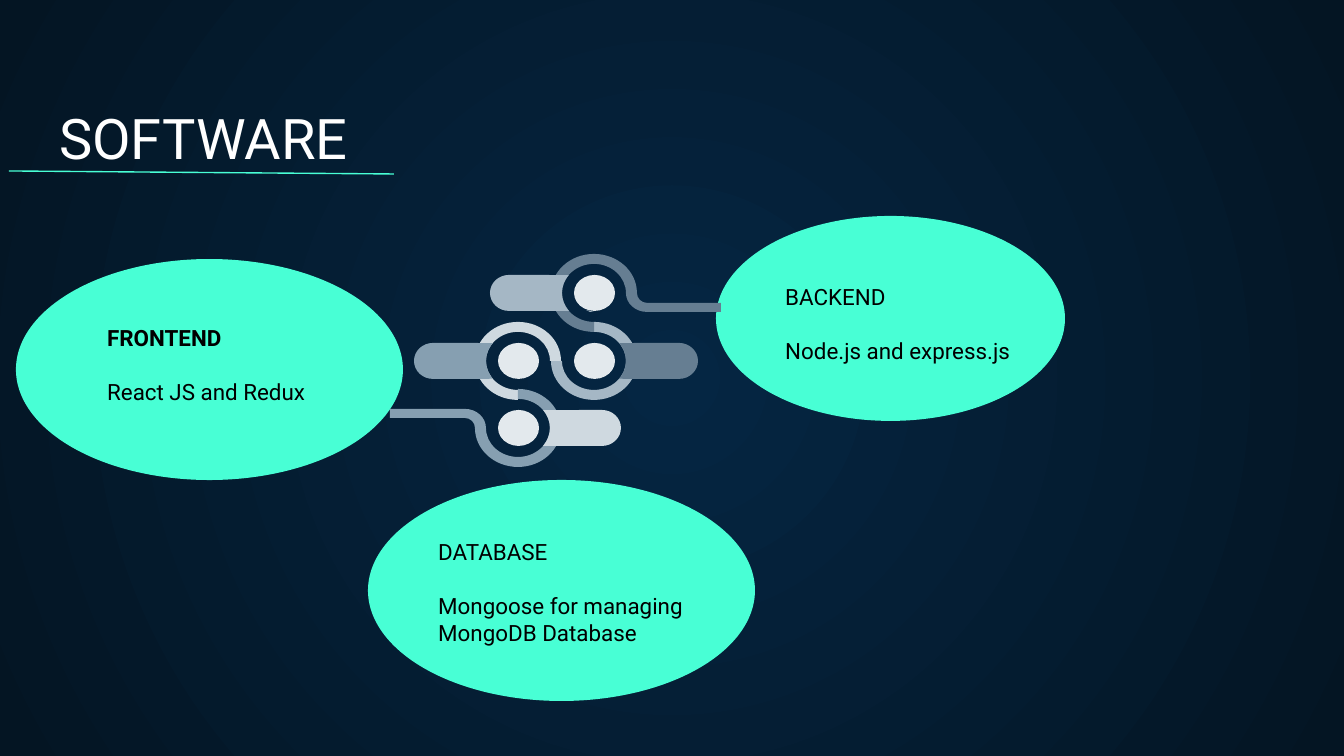
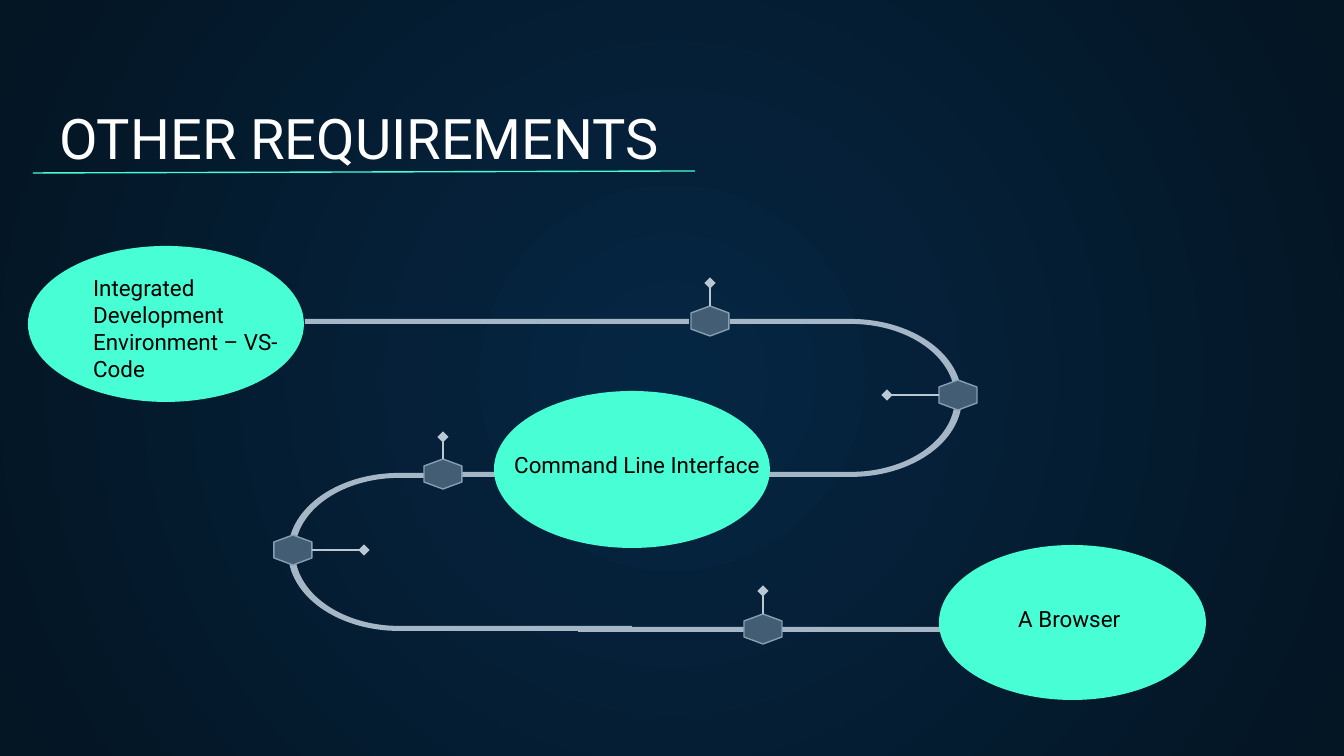
import math
from pptx import Presentation, util as u
from pptx.dml.color import RGBColor
from pptx.enum import shapes, text
from pptx.oxml import parse_xml
from pptx.oxml.ns import nsdecls, qn

SCALE = 914400 / 134.4  # EMU per px
FONT = "Roboto"
COLOURS = {name: RGBColor.from_string(value) for name, value in {
    "centre": "052643", "edge": "041523", "mint": "48FFD5",
    "white": "FFFFFF", "black": "000000", "dot": "E3E9ED",
    "pale": "CFD9E0", "light": "A5B7C5", "medium": "869FB1",
    "slate": "667E92", "road": "A5B7C6", "stem": "BAC8D3",
    "hexagon": "435D74", "hexagon line": "869FB2"}.items()}


def arc(centre, radii, *stops):
    """A corner, then one curve (two handles and an end) from each stop to the next.

    Degrees run clockwise from the right.
    """
    (x, y), (rx, ry) = centre, radii
    angles = [math.radians(stop) for stop in stops]
    items = [(x + rx * math.cos(angles[0]), y + ry * math.sin(angles[0]))]
    for a, b in zip(angles, angles[1:]):
        k = 4 / 3 * math.tan((b - a) / 4)
        items.append((
            x + rx * (math.cos(a) - k * math.sin(a)), y + ry * (math.sin(a) + k * math.cos(a)),
            x + rx * (math.cos(b) + k * math.sin(b)), y + ry * (math.sin(b) - k * math.cos(b)),
            x + rx * math.cos(b), y + ry * math.sin(b)))
    return items


def add_outline(slide, items, colour):
    """Draw corners (2 numbers) and curves (6 numbers) as one filled outline."""
    points = [(item[i] * SCALE, item[i + 1] * SCALE)
              for item in items for i in range(0, len(item), 2)]
    builder = slide.shapes.build_freeform(*points[0])
    builder.add_line_segments(points[1:], close=True)
    shape = builder.convert_to_shape()
    outline = shape._element.find(".//" + qn("a:path"))
    nodes = iter(list(outline))
    for item in items:
        node = next(nodes)
        if len(item) == 6:
            node.tag = qn("a:cubicBezTo")
            for follower in (next(nodes), next(nodes)):
                node.append(follower[0])
                outline.remove(follower)
    shape.shadow.inherit = False
    shape.fill.solid()
    shape.fill.fore_color.rgb = COLOURS[colour]
    shape.line.fill.background()
    return shape


presentation = Presentation()
presentation.slide_width = int(1344 * SCALE)
presentation.slide_height = int(756 * SCALE)
software = presentation.slides.add_slide(presentation.slide_layouts[6])
requirements = presentation.slides.add_slide(presentation.slide_layouts[6])

# Radial background
for slide in (software, requirements):
    fill = slide.background.fill
    fill.gradient()
    for stop, name in zip(fill.gradient_stops, ("centre", "edge")):
        stop.color.rgb = COLOURS[name]
    gradient = slide.background._cSld.find(".//" + qn("a:gradFill"))
    gradient.replace(gradient.find(qn("a:lin")), parse_xml(
        f'<a:path {nsdecls("a")} path="circle">'
        '<a:fillToRect l="50000" t="50000" r="50000" b="50000"/></a:path>'))

# Road: each bend runs from a straight start into a quarter turn
for start, centre, angle_from, angle_to in [
        (730, (851, 398), 270, 349), (462, (851, 398), 90, 8),
        (425, (399, 552), 270, 191), (632, (399, 552), 90, 171)]:
    outer = arc(centre, (111, 79), angle_from, angle_to)
    inner = arc(centre, (104, 74), angle_to, angle_from)
    add_outline(requirements,
                [(start, outer[0][1])] + outer + inner + [(start, inner[-1][-1])], "road")

# Small sliver behind the top dot
TOP, LEFT, RIGHT, BOTTOM = (594, 293), (518, 361), (594, 361), (518, 428)
add_outline(software, [(586, 310), (594, 312), (590, 312)], "light")

# Preset shapes: straight road parts, bubbles, circuit dots
rectangle, oval = shapes.MSO_SHAPE.RECTANGLE, shapes.MSO_SHAPE.OVAL
presets = [(requirements, rectangle, (left, top, width, 5), "road")
           for left, top, width in [(305, 319, 384), (578, 627, 166), (782, 627, 167)]]
bubbles = [
    (software, (16, 259, 387, 221), (94, 318, 527, 95), ["FRONTEND", "React JS and Redux"]),
    (software, (716, 216, 349, 205), (772, 277, 527, 95), ["BACKEND", "Node.js and express.js"]),
    (software, (368, 480, 387, 221), (425, 532, 323, 122),
     ["DATABASE", "Mongoose for managing MongoDB Database"]),
    (requirements, (28, 246, 276, 156), (80, 268, 249, 122),
     ["Integrated Development Environment – VS-Code"]),
    (requirements, (939, 545, 267, 155), (1005, 599, 348, 40), ["A Browser"]),
    (requirements, (494, 391, 276, 157), (501, 445, 337, 40), ["Command Line Interface"])]
presets += [(slide, oval, box, "mint") for slide, box, _, _ in bubbles]
presets += [(software, oval, (x - 20, y - 18, 41, 36), "dot")
            for x, y in (TOP, LEFT, RIGHT, BOTTOM)]
for slide, kind, box, colour in presets:
    shape = slide.shapes.add_shape(kind, *[int(n * SCALE) for n in box])
    shape.shadow.inherit = False
    shape.fill.solid()
    shape.fill.fore_color.rgb = COLOURS[colour]
    shape.line.fill.background()

# Circuit rings
OUTER, INNER = (43, 39), (32, 29)
for centre, stops, colour in [(RIGHT, (270, 360, 450, 540), "light"),
                              (LEFT, (90, 180, 270, 360), "pale"),
                              (TOP, (90, 180, 270), "slate")]:
    add_outline(software, arc(centre, OUTER, *stops) + arc(centre, INNER, *stops[::-1]), colour)

# Circuit rings that run out into a tail
for centre, stops, bend_x, turn, tail_x, colour in [
        (TOP, (270, 360), 647, 180, 721, "slate"),
        (BOTTOM, (270, 360, 450, 540), 465, 360, 390, "medium")]:
    bend = (bend_x, centre[1])
    near = arc(bend, (10, 10), turn, turn - 90)
    far = arc(bend, (21, 19), turn - 90, turn)
    add_outline(software, arc(centre, OUTER, *stops) + near
                + [(tail_x, near[-1][-1]), (tail_x, far[0][1])]
                + far + arc(centre, INNER, *stops[::-1]), colour)

# Circuit bars: a round cap outside, a hollow end along the ring
for ring, cap_x, colour in [(TOP, 509, "light"), (LEFT, 433, "medium"),
                            (RIGHT, 679, "slate"), (BOTTOM, 602, "pale")]:
    turn = 0 if cap_x < ring[0] else 180
    add_outline(software, arc((cap_x, ring[1]), (19, 18), 90 + turn, 180 + turn, 270 + turn)
                + arc(ring, INNER, 218 + turn, 142 + turn), colour)

# Hexagon stops; the stem runs from the hexagon's edge to its tip
lines = [(software, (9, 171), (394, 174), "mint", False),
         (requirements, (33, 173), (695, 171), "mint", False)]
for x, y, reach_x, reach_y in [(710, 321, 0, -38), (958, 395, -71, 0), (293, 550, 71, 0),
                               (443, 474, 0, -37), (763, 629, 0, -38)]:
    hexagon = add_outline(requirements, [
        (x + 19, y - 8), (x, y - 15), (x - 19, y - 8),
        (x - 19, y + 8), (x, y + 15), (x + 19, y + 8)], "hexagon")
    hexagon.line.color.rgb = COLOURS["hexagon line"]
    hexagon.line.width = u.Pt(0.75)
    edge = (x + max(-19, min(19, reach_x)), y + max(-15, min(15, reach_y)))
    lines.append((requirements, edge, (x + reach_x, y + reach_y), "stem", True))

# Title rules and stems
for slide, begin, end, colour, diamond in lines:
    line = slide.shapes.add_connector(
        shapes.MSO_CONNECTOR.STRAIGHT, *[int(n * SCALE) for n in begin + end])
    line.line.color.rgb = COLOURS[colour]
    line.line.width = u.Pt(0.75)
    if diamond:
        line.line._get_or_add_ln().append(
            parse_xml(f'<a:tailEnd {nsdecls("a")} type="diamond"/>'))
    line._element.spPr.append(parse_xml(f'<a:effectLst {nsdecls("a")}/>'))

# Titles and bubble texts
texts = [(slide, (46, 95, 1253, 89), [title], 30, "white")
         for slide, title in [(software, "SOFTWARE"), (requirements, "OTHER REQUIREMENTS")]]
texts += [(slide, box, content, 12, "black") for slide, _, box, content in bubbles]
for slide, box, content, size, colour in texts:
    frame = slide.shapes.add_textbox(*[int(n * SCALE) for n in box]).text_frame
    frame.word_wrap = True
    if size == 30:
        frame.vertical_anchor = text.MSO_ANCHOR.BOTTOM
        frame.margin_top = frame.margin_bottom = u.Inches(0.1)
    for i, words in enumerate(content):
        paragraph = frame.add_paragraph() if i else frame.paragraphs[0]
        if i:
            paragraph.space_before = u.Pt(14.4)
        run = paragraph.add_run()
        run.text = words
        run.font.name = FONT
        run.font.size = u.Pt(size)
        run.font.bold = words == "FRONTEND"
        run.font.color.rgb = COLOURS[colour]

presentation.save("out.pptx")
